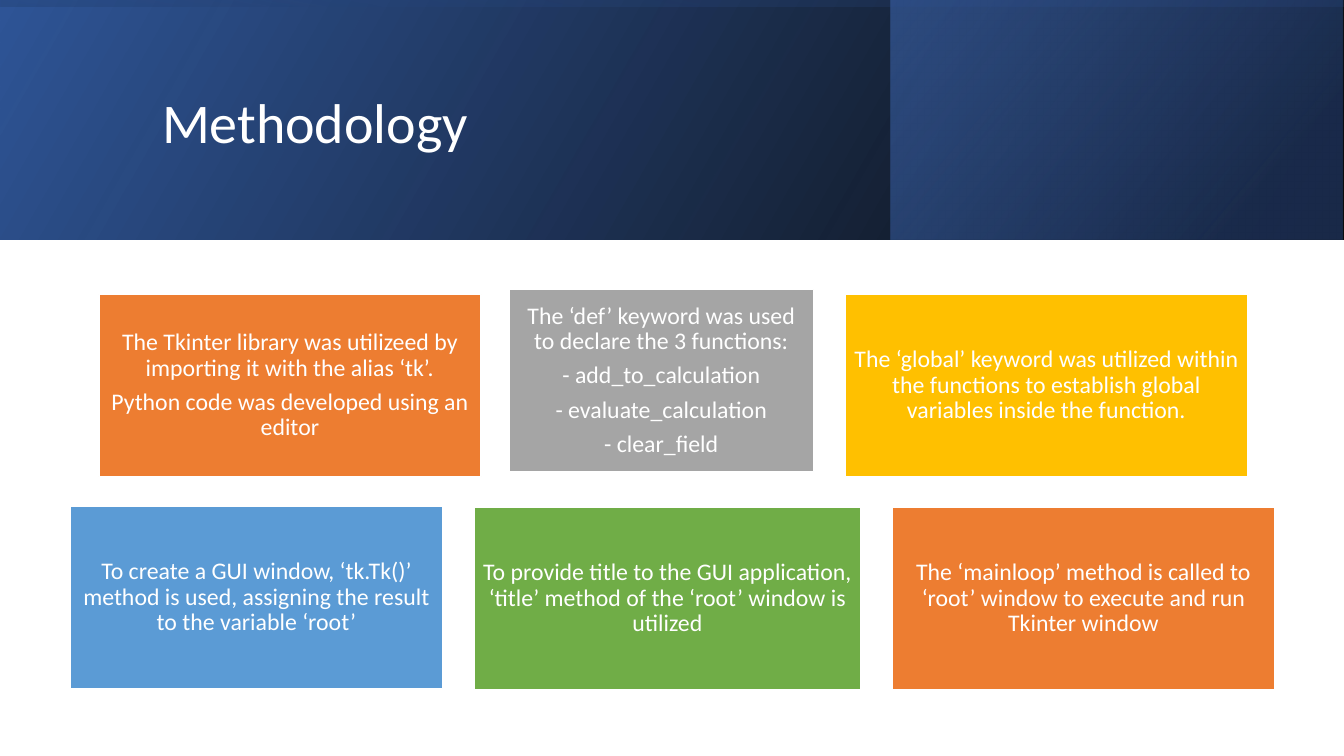
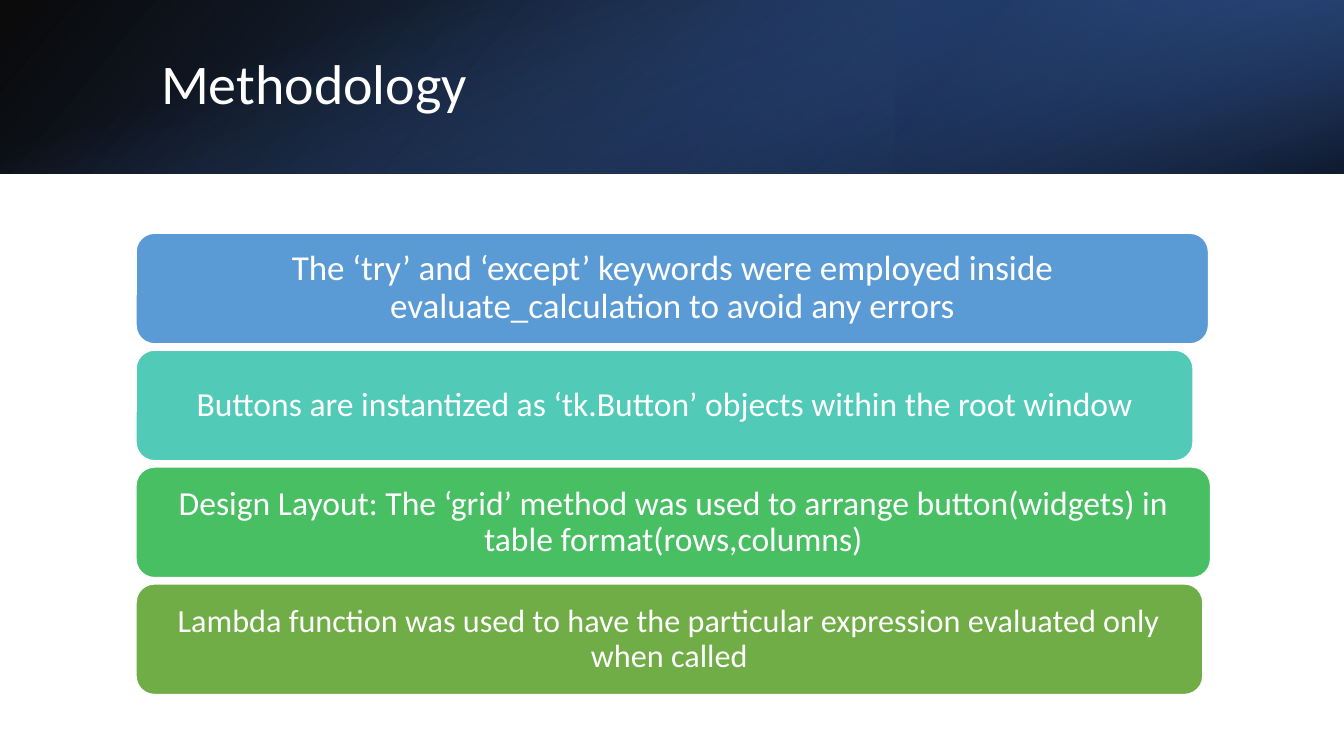
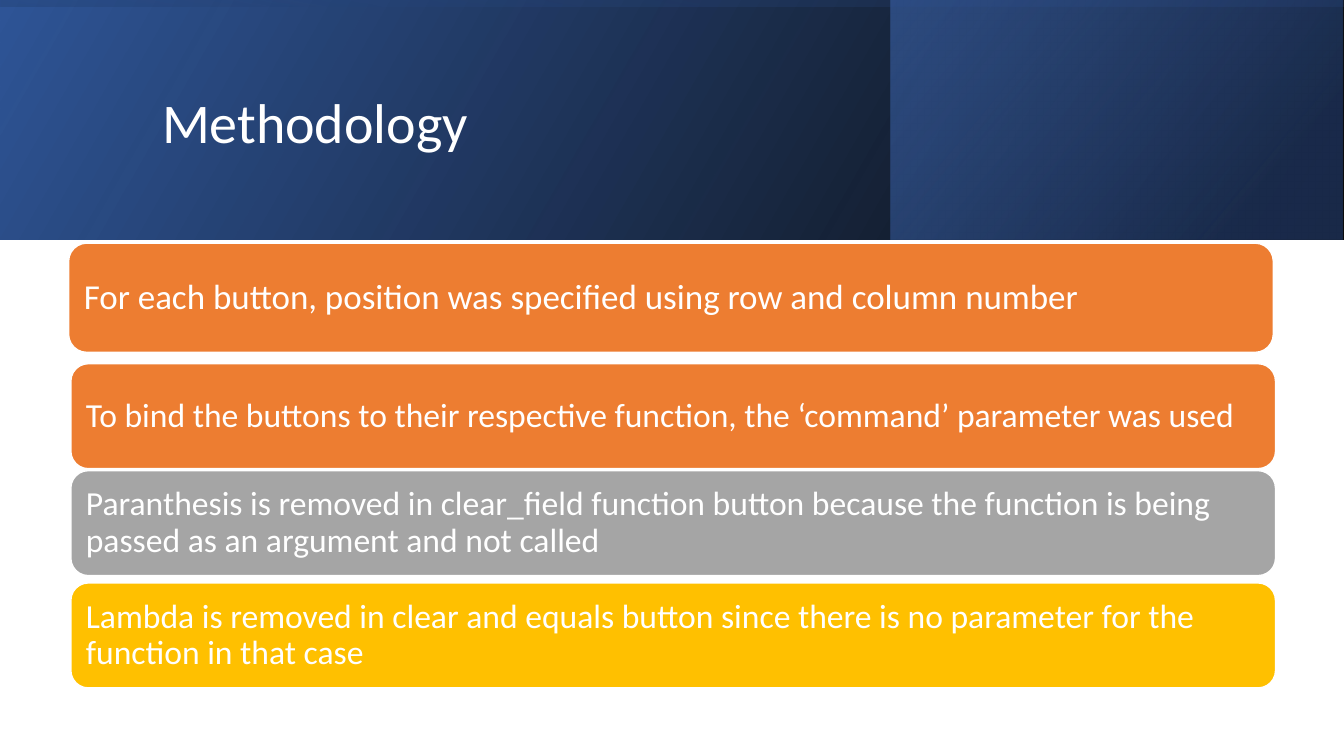
from lxml.etree import SubElement
from pptx import Presentation
from pptx.dml.color import RGBColor
from pptx.enum.shapes import MSO_SHAPE
from pptx.enum.text import MSO_ANCHOR, PP_ALIGN
from pptx.oxml.ns import qn
from pptx.util import Pt

COLORS = {
    "white": "FFFFFF",
    "black": "000000",
    "navy": "203864",
    "deep": "2F5597",
    "royal": "4472C4",
    "orange": "ED7D31",
    "gray": "A5A5A5",
    "gold": "FFC000",
    "blue": "5B9BD5",
    "teal": "52CAB8",
    "mint": "49BF64",
    "green": "70AD47",
}
FONT = "Calibri"
PAGE_WIDTH, PAGE_HEIGHT = 960, 540
TALL_BAND, SHORT_BAND = 171, 124


def rgb(name):
    return RGBColor.from_string(COLORS[name])


def add_page(deck):
    return deck.slides.add_slide(deck.slide_layouts[6])


def write_text(shape, text, size, align, inset):
    frame = shape.text_frame
    frame.text = text
    frame.word_wrap = True
    frame.vertical_anchor = MSO_ANCHOR.MIDDLE
    frame.margin_left = frame.margin_right = Pt(inset)
    frame.margin_top = frame.margin_bottom = Pt(min(inset, 5))
    for paragraph in frame.paragraphs:
        paragraph.alignment = align
        paragraph.line_spacing = 0.9
        for span in paragraph.runs:
            span.font.name = FONT
            span.font.size = Pt(size)
            span.font.color.rgb = rgb("white")
    for paragraph in frame.paragraphs[:-1]:
        paragraph.space_after = Pt(6)


def set_gradient(shape, stops, angle):
    shape.fill.background()
    properties = shape.element.spPr
    empty_fill = properties.find(qn("a:noFill"))
    gradient = properties.makeelement(qn("a:gradFill"), {"rotWithShape": "1"})
    properties.replace(empty_fill, gradient)
    stop_list = SubElement(gradient, qn("a:gsLst"))
    for position, color, opacity in stops:
        stop = SubElement(stop_list, qn("a:gs"), pos=str(position * 1000))
        value = SubElement(stop, qn("a:srgbClr"), val=COLORS[color])
        SubElement(value, qn("a:alpha"), val=str(opacity * 1000))
    SubElement(gradient, qn("a:lin"), ang=str(angle * 60000), scaled="0")


def add_layer(page, left, width, height, stops, angle, rotation=0, flip=True):
    if rotation in (90, 270):
        frame = (left + (width - height) / 2, (height - width) / 2, height, width)
    else:
        frame = (left, 0, width, height)
    layer = page.shapes.add_shape(MSO_SHAPE.RECTANGLE, *map(Pt, frame))
    layer.shadow.inherit = False
    layer.line.fill.background()
    layer.rotation = rotation
    if flip:
        layer.element.spPr.find(qn("a:xfrm")).set("flipH", "1")
    set_gradient(layer, stops, angle)


def add_title(page, left, width, height):
    box = page.shapes.add_textbox(Pt(left), Pt(27.4), Pt(width), Pt(height))
    write_text(box, "Methodology", 40, PP_ALIGN.LEFT, 7.2)


def add_base(page, height, angle):
    add_layer(page, 0, PAGE_WIDTH, height, [(0, "black", 96), (100, "deep", 100)], angle)


def add_tall_header(page):
    add_base(page, TALL_BAND, 330)
    add_layer(page, 636.5, 322.5, TALL_BAND, [(19, "navy", 68), (100, "royal", 48)], 320)
    add_layer(page, 0, PAGE_WIDTH, TALL_BAND, [(23, "deep", 16), (99, "black", 45)], 350, 270)
    add_title(page, 108.7, 765, 123.8)


def add_short_header(page):
    add_base(page, SHORT_BAND, 140)
    add_layer(page, 640, 320, SHORT_BAND, [(19, "navy", 68), (100, "royal", 79)], 320, 180)
    add_layer(page, 0, PAGE_WIDTH, SHORT_BAND, [(23, "royal", 0), (99, "black", 74)], 340, 90, False)
    add_title(page, 108, 790, 69)


def add_card(page, frame, color, text, size, kind=MSO_SHAPE.ROUNDED_RECTANGLE,
             align=PP_ALIGN.CENTER, inset=7.2):
    card = page.shapes.add_shape(kind, *map(Pt, frame))
    card.shadow.inherit = False
    card.fill.solid()
    card.fill.fore_color.rgb = rgb(color)
    card.line.color.rgb = rgb("white")
    card.line.width = Pt(1)
    write_text(card, text, size, align, inset)


def build_steps(page):
    add_tall_header(page)
    steps = [
        (70.6, 210.2, 273, "orange",
         "The Tkinter library was utilizeed by importing it with the alias ‘tk’.\n"
         "Python code was developed using an editor"),
        (363.6, 206.6, 217.5, "gray",
         "The ‘def’ keyword was used to declare the 3 functions:\n"
         "- add_to_calculation\n- evaluate_calculation\n- clear_field"),
        (603.5, 210.2, 288, "gold",
         "The ‘global’ keyword was utilized within the functions to establish "
         "global variables inside the function."),
        (50.5, 361.5, 265.5, "blue",
         "To create a GUI window, ‘tk.Tk()’ method is used, assigning the result "
         "to the variable ‘root’"),
        (338.5, 362.2, 276.5, "green",
         "To provide title to the GUI application, ‘title’ method of the ‘root’ "
         "window is utilized"),
        (637.2, 362.2, 273.5, "orange",
         "The ‘mainloop’ method is called to ‘root’ window to execute and run "
         "Tkinter window"),
    ]
    for left, top, width, color, text in steps:
        add_card(page, (left, top, width, 130.3), color, text, 17,
                 MSO_SHAPE.RECTANGLE, inset=5)


def build_keywords(page):
    add_short_header(page)
    bars = [
        (766, "blue", 25,
         "The ‘try’ and ‘except’ keywords were employed inside "
         "evaluate_calculation to avoid any errors"),
        (755, "teal", 24,
         "Buttons are instantized as ‘tk.Button’ objects within the root window"),
        (767.5, "mint", 24,
         "Design Layout: The ‘grid’ method was used to arrange button(widgets) "
         "in table format(rows,columns)"),
        (762, "green", 23,
         "Lambda function was used to have the particular expression evaluated "
         "only when called"),
    ]
    for index, (width, color, size, text) in enumerate(bars):
        add_card(page, (97.2, 166.6 + 83.5 * index, width, 79), color, text, size)


def build_buttons(page):
    add_tall_header(page)
    bars = [
        (49, 173.7, 78, "orange", 25,
         "For each button, position was specified using row and column number"),
        (50.6, 259.8, 75, "orange", 24,
         "To bind the buttons to their respective function, the ‘command’ "
         "parameter was used"),
        (50.6, 336.2, 75, "gray", 24,
         "Paranthesis is removed in clear_field function button because the "
         "function is being passed as an argument and not called"),
        (50.6, 416.4, 75, "gold", 24,
         "Lambda is removed in clear and equals button since there is no "
         "parameter for the function in that case"),
    ]
    for left, top, height, color, size, text in bars:
        add_card(page, (left, top, 860.5, height), color, text, size, align=PP_ALIGN.LEFT)


def main():
    deck = Presentation()
    deck.slide_width, deck.slide_height = Pt(PAGE_WIDTH), Pt(PAGE_HEIGHT)
    for build in (build_steps, build_keywords, build_buttons):
        build(add_page(deck))
    deck.save("out.pptx")


if __name__ == "__main__":
    main()
